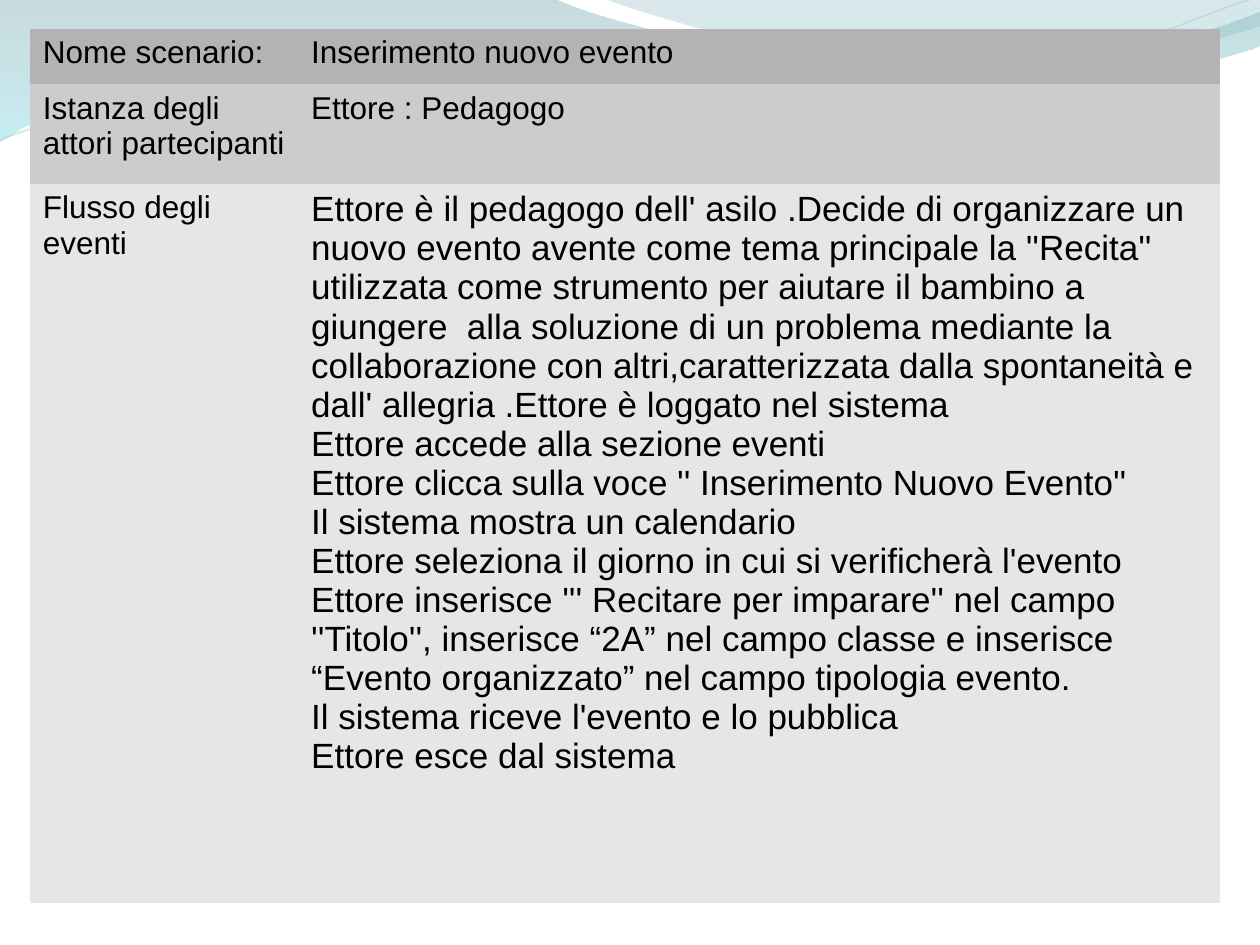
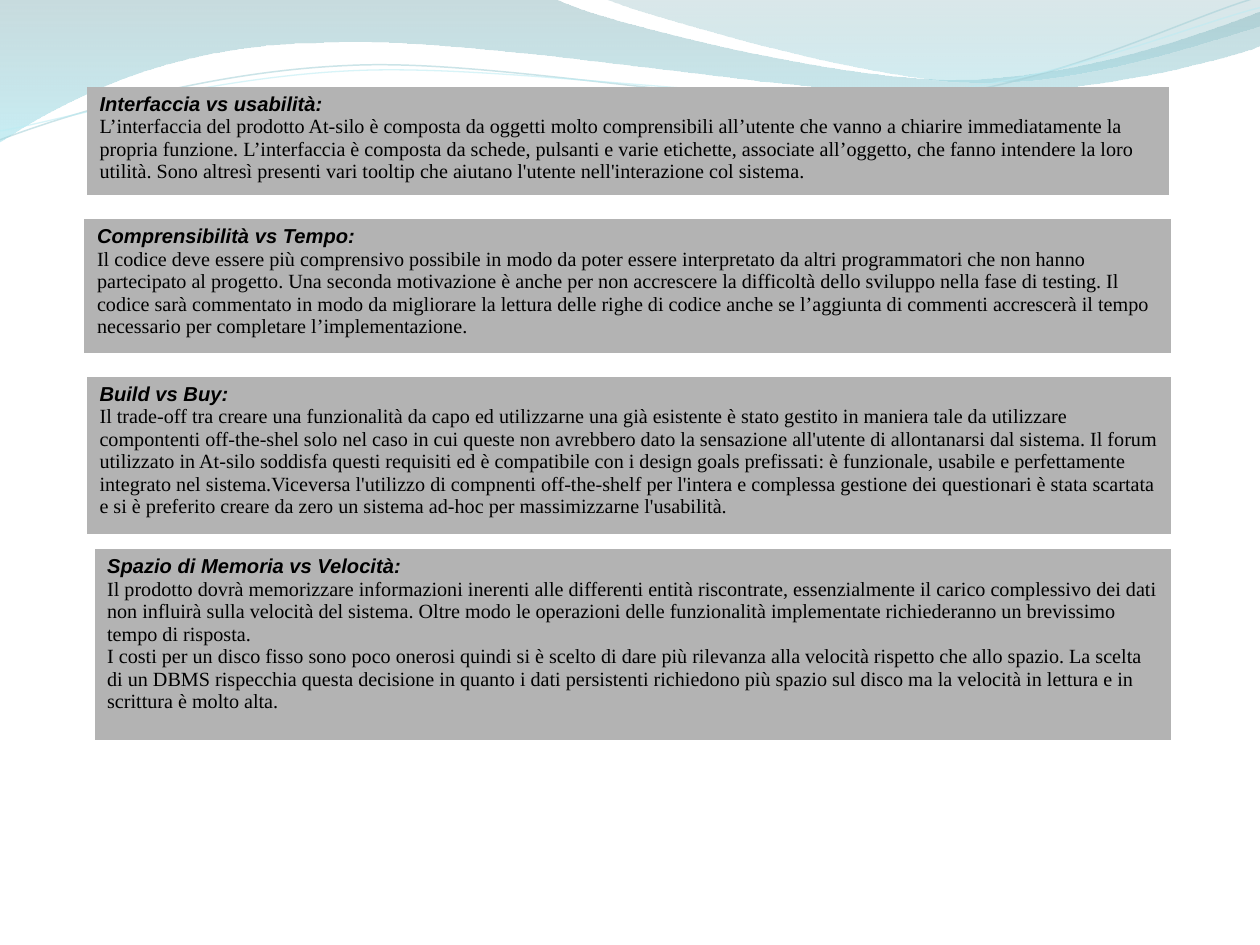
import pptx
import pptx.dml.color
import pptx.util
from lxml import etree
from pptx.oxml.ns import qn
from pptx.util import Inches

HEADER, MIDDLE, LIGHT = "B3B3B3", "CCCCCC", "E6E6E6"
BLACK = "000000"
SANS, SERIF = "Arial", "Times New Roman"
NO_GRID_STYLE = "{2D5ABB26-0587-4C30-8999-92F81FD0307C}"

# Outlines: a start point, then lines (x, y) or cubic curves (x1, y1, x2, y2, x, y).
LEFT_WAVE = [
    (0, 0), (4.4, -0.01),
    (4.76, 0.17, 6.64, 0.63, 7.58, 0.63), (8.53, 0.63, 9.58, 0.26, 10, 0.09),
    (10.01, 0.36),
    (9.83, 0.44, 8.7, 0.76, 7.46, 0.75), (6.22, 0.75, 3.82, 0.28, 2.57, 0.34),
    (1.29, 0.35, 0.46, 0.83, -0.01, 1.13), (0, 0),
]
RIGHT_WAVE = [
    (4.79, -0.01),
    (5.09, 0.11, 6.82, 0.62, 7.69, 0.65), (8.56, 0.69, 9.61, 0.32, 10, 0.21),
    (10, 0), (4.79, -0.01),
]
UPPER_STRAND = [
    (0, 1.11),
    (0.48, 0.93, 1.58, 0.57, 2.77, 0.52), (3.95, 0.46, 5.93, 0.89, 7.13, 0.8),
    (8.33, 0.71, 9.38, 0.15, 9.98, -0.02),
]
LOWER_STRAND = [
    (0, 1.04),
    (0.47, 0.96, 1.64, 0.61, 2.83, 0.56), (4.03, 0.51, 5.97, 0.83, 7.17, 0.75),
    (8.36, 0.67, 9.41, 0.21, 10, 0.06),
]

EVENT_FLOW = [
    "Ettore è il pedagogo dell' asilo .Decide di organizzare un nuovo evento avente come tema "
    "principale la ''Recita'' utilizzata come strumento per aiutare il bambino a giungere  alla "
    "soluzione di un problema mediante la collaborazione con altri,caratterizzata dalla "
    "spontaneità e dall' allegria .Ettore è loggato nel sistema",
    "Ettore accede alla sezione eventi",
    "Ettore clicca sulla voce '' Inserimento Nuovo Evento''",
    "Il sistema mostra un calendario",
    "Ettore seleziona il giorno in cui si verificherà l'evento",
    "Ettore inserisce ''' Recitare per imparare'' nel campo ''Titolo'', inserisce “2A” nel campo "
    "classe e inserisce “Evento organizzato” nel campo tipologia evento.",
    "Il sistema riceve l'evento e lo pubblica",
    "Ettore esce dal sistema",
]

SCENARIO = [  # row height, fill, label, text, text size
    (0.44, HEADER, "Nome scenario:", ["Inserimento nuovo evento"], 18),
    (0.79, MIDDLE, "Istanza degli attori partecipanti", ["Ettore : Pedagogo"], 18),
    (5.71, LIGHT, "Flusso degli eventi", EVENT_FLOW, 20),
]

TRADE_OFFS = [  # left, top, width, height, heading, paragraphs
    (0.69, 0.69, 8.59, 0.86, "Interfaccia vs usabilità:", [
        "L’interfaccia del prodotto At-silo è composta da oggetti molto comprensibili all’utente "
        "che vanno a chiarire immediatamente la propria funzione. L’interfaccia è composta da "
        "schede, pulsanti e varie etichette, associate all’oggetto, che fanno intendere la loro "
        "utilità. Sono altresì presenti vari tooltip che aiutano l'utente nell'interazione col "
        "sistema."]),
    (0.67, 1.74, 8.62, 1.06, "Comprensibilità vs Tempo:", [
        "Il codice deve essere più comprensivo possibile in modo da poter essere interpretato da "
        "altri programmatori che non hanno partecipato al progetto. Una seconda motivazione è "
        "anche per non accrescere la difficoltà dello sviluppo nella fase di testing. Il codice "
        "sarà commentato in modo da migliorare la lettura delle righe di codice anche se "
        "l’aggiunta di commenti accrescerà il tempo necessario per completare "
        "l’implementazione."]),
    (0.69, 2.99, 8.6, 1.25, "Build vs Buy:", [
        "Il trade-off tra creare una funzionalità da capo ed utilizzarne una già esistente è "
        "stato gestito in maniera tale da utilizzare compontenti off-the-shel solo nel caso in "
        "cui queste non avrebbero dato la sensazione all'utente di allontanarsi dal sistema. Il "
        "forum utilizzato in At-silo soddisfa questi requisiti ed è compatibile con i design "
        "goals prefissati: è funzionale, usabile e perfettamente integrato nel sistema.Viceversa "
        "l'utilizzo di compnenti off-the-shelf per l'intera e complessa gestione dei questionari "
        "è stata scartata e si è preferito creare da zero un sistema ad-hoc per massimizzarne "
        "l'usabilità."]),
    (0.75, 4.36, 8.54, 1.51, "Spazio di Memoria vs Velocità:", [
        "Il prodotto dovrà memorizzare informazioni inerenti alle differenti entità riscontrate, "
        "essenzialmente il carico complessivo dei dati non influirà sulla velocità del sistema. "
        "Oltre modo le operazioni delle funzionalità implementate richiederanno un brevissimo "
        "tempo di risposta.",
        "I costi per un disco fisso sono poco onerosi quindi si è scelto di dare più rilevanza "
        "alla velocità rispetto che allo spazio. La scelta di un DBMS rispecchia questa decisione "
        "in quanto i dati persistenti richiedono più spazio sul disco ma la velocità in lettura e "
        "in scrittura è molto alta."]),
]


def rgb(color):
    return pptx.dml.color.RGBColor.from_string(color)


def set_opacity(sp, percents):
    """Give the shape's colours, in document order, these opacities."""
    for clr, percent in zip(sp.element.spPr.iter(qn("a:srgbClr")), percents):
        etree.SubElement(clr, qn("a:alpha"), val=str(percent * 1000))


def bend_segments(sp, segments):
    """Turn the straight segments that have control points into cubic curves."""
    lines = list(sp.element.spPr.iter(qn("a:lnTo")))
    for line, segment in zip(lines, segments):
        if len(segment) == 6:
            path = line.getparent()
            curve = etree.SubElement(path, qn("a:cubicBezTo"))
            for x, y in zip(segment[::2], segment[1::2]):
                etree.SubElement(curve, qn("a:pt"), x=str(Inches(x) - sp.left),
                                 y=str(Inches(y) - sp.top))
            path.replace(line, curve)


def add_outline(s, outline, close):
    start, *segments = outline
    builder = s.shapes.build_freeform(Inches(start[0]), Inches(start[1]))
    builder.add_line_segments([(Inches(seg[-2]), Inches(seg[-1])) for seg in segments],
                              close=close)
    sp = builder.convert_to_shape()
    sp.shadow.inherit = False
    bend_segments(sp, segments)
    return sp


def add_wave(s, outline, colors, opacities):
    sp = add_outline(s, outline, True)
    sp.fill.gradient()
    sp.fill.gradient_angle = 270
    for stop, color in zip(sp.fill.gradient_stops, colors):
        stop.color.rgb = rgb(color)
    sp.line.fill.background()
    set_opacity(sp, opacities)
    return sp


def add_strand(s, outline, color, width):
    sp = add_outline(s, outline, False)
    sp.fill.background()
    sp.line.color.rgb = rgb(color)
    sp.line.width = pptx.util.Pt(width)
    set_opacity(sp, [56])
    return sp


def add_master_waves(prs, s):
    """Build the waves on a slide and move them to the master, shared by all slides."""
    waves = [
        add_wave(s, LEFT_WAVE, ["86B1B8", "9BE0EB"], [45, 55]),
        add_wave(s, RIGHT_WAVE, ["84B2BA", "9BD7E1"], [30, 45]),
        add_strand(s, UPPER_STRAND, "A5D0D7", 0.85),
        add_strand(s, LOWER_STRAND, "BBECF4", 0.75),
    ]
    tree = prs.slide_master.element.cSld.spTree
    for shape_id, sp in enumerate(waves, start=101):
        sp.element.nvSpPr.cNvPr.set("id", str(shape_id))
        tree.append(sp.element)


def add_plain_table(s, left, top, widths, heights):
    """Add a table without grid lines or banding."""
    frame = s.shapes.add_table(len(heights), len(widths), Inches(left), Inches(top),
                               Inches(sum(widths)), Inches(sum(heights)))
    table = frame.table
    table.first_row = table.horz_banding = False
    for style in frame.element.iter(qn("a:tableStyleId")):
        style.text = NO_GRID_STYLE
    for column, width in zip(table.columns, widths):
        column.width = Inches(width)
    for row, height in zip(table.rows, heights):
        row.height = Inches(height)
    return table


def fill_cell(cell, color, texts, size, font=SANS):
    cell.fill.solid()
    cell.fill.fore_color.rgb = rgb(color)
    tf = cell.text_frame
    tf.text = "\n".join(texts)
    for p in tf.paragraphs:
        p.font.name = font
        p.font.size = pptx.util.Pt(size)
        p.font.color.rgb = rgb(BLACK)


def add_scenario(s):
    table = add_plain_table(s, 0.24, 0.23, [2.13, 7.31], [row[0] for row in SCENARIO])
    for i, (_, color, label, texts, size) in enumerate(SCENARIO):
        fill_cell(table.cell(i, 0), color, [label], 18)
        fill_cell(table.cell(i, 1), color, texts, size)


def add_trade_off(s, left, top, width, height, heading, texts):
    cell = add_plain_table(s, left, top, [width], [height]).cell(0, 0)
    fill_cell(cell, HEADER, [heading] + texts, 11.5, SERIF)
    font = cell.text_frame.paragraphs[0].font
    font.name = SANS
    font.bold = font.italic = True


def main():
    prs = pptx.Presentation()
    prs.slide_width, prs.slide_height = Inches(10), Inches(7.5)
    blank = prs.slide_layouts[6]
    s = prs.slides.add_slide(blank)
    add_master_waves(prs, s)
    add_scenario(s)
    s = prs.slides.add_slide(blank)
    for trade_off in TRADE_OFFS:
        add_trade_off(s, *trade_off)
    prs.save("out.pptx")


if __name__ == "__main__":
    main()
